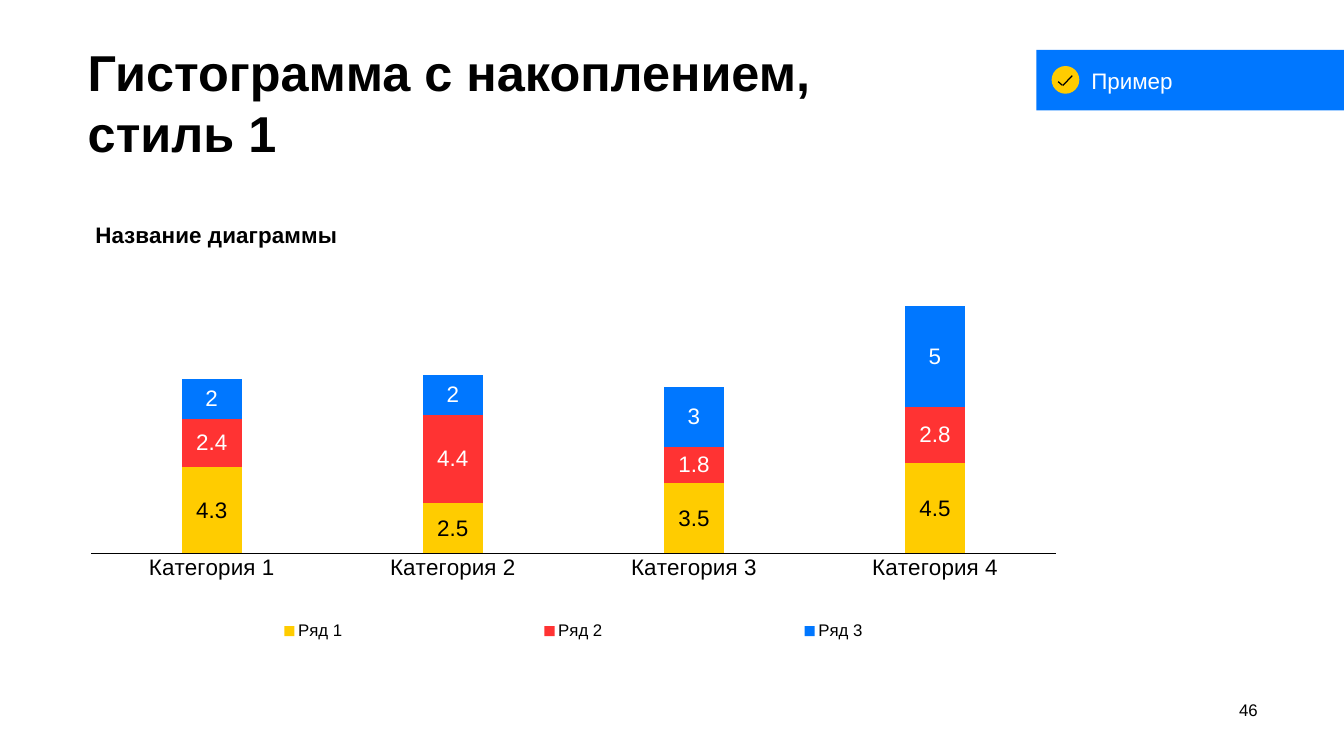
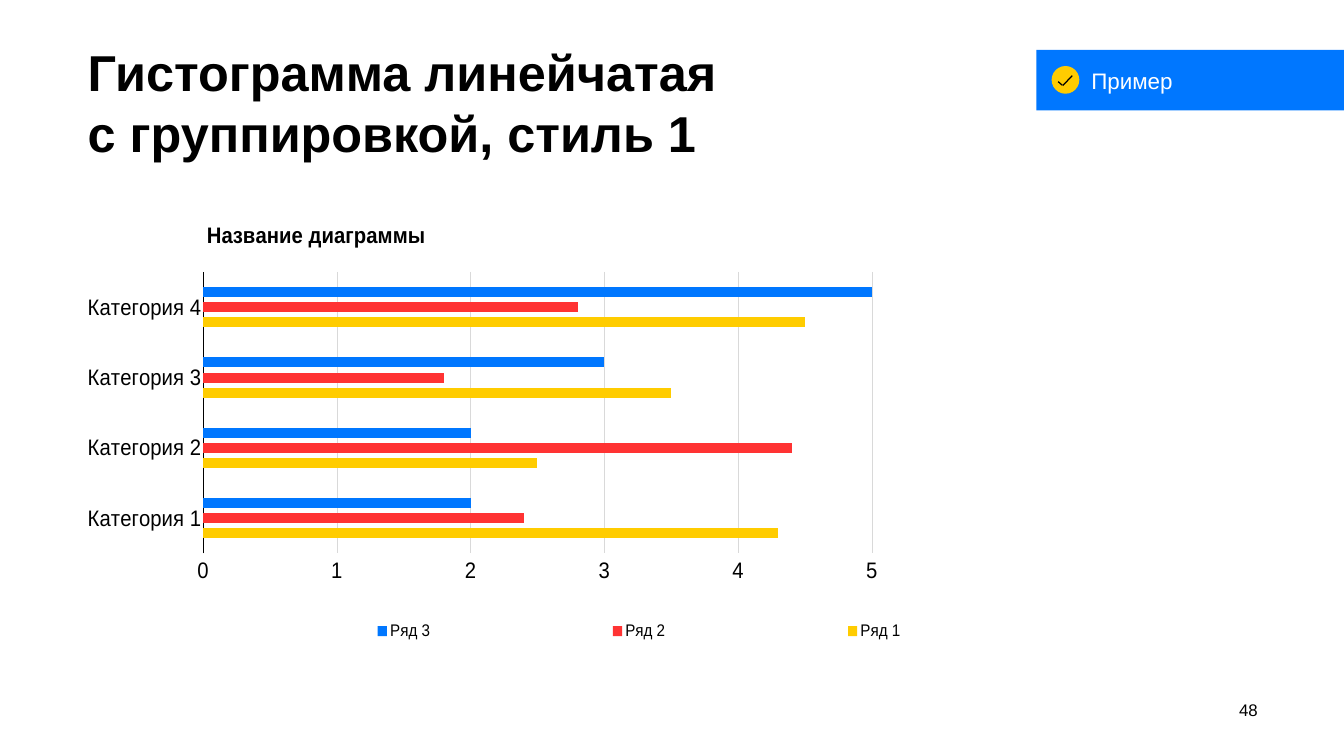
from dataclasses import dataclass

from lxml import etree
from pptx import Presentation
from pptx import util as u
from pptx.chart import data as chart_data
from pptx.dml import color
from pptx.enum import chart as ce
from pptx.enum import shapes, text
from pptx.oxml import parse_xml
from pptx.oxml import ns

Pt = u.Pt
FONT = "Arial"
COLORS = {
    "black": "000000",
    "white": "FFFFFF",
    "blue": "0077FF",
    "red": "FF3333",
    "yellow": "FFCC00",
    "grid": "D9D9D9",
}
SLIDE_W, SLIDE_H = 1919.52, 1080
MARGIN = 125.28
CONTENT_W = 1671.5
CATEGORIES = [f"Категория {number}" for number in range(1, 5)]
CHART_TITLE = "Название диаграммы"


@dataclass(frozen=True)
class Series:
    name: str
    values: tuple[float, ...]
    fill: str
    label: str


@dataclass(frozen=True)
class ChartSlide:
    heading: tuple[str, ...]
    number: int
    kind: ce.XL_CHART_TYPE
    overlap: int
    plot_width: float
    value_labels: bool


@dataclass(frozen=True)
class Stroke:
    start: tuple[float, float]
    end: tuple[float, float]


SERIES = (
    Series("Ряд 1", (4.3, 2.5, 3.5, 4.5), "yellow", "black"),
    Series("Ряд 2", (2.4, 4.4, 1.8, 2.8), "red", "white"),
    Series("Ряд 3", (2, 2, 3, 5), "blue", "white"),
)
SLIDES = (
    ChartSlide(("Гистограмма с накоплением,", "стиль 1"), 46,
               ce.XL_CHART_TYPE.COLUMN_STACKED, 100, 0.824, True),
    ChartSlide(("Гистограмма линейчатая", "с группировкой, стиль 1"), 48,
               ce.XL_CHART_TYPE.BAR_CLUSTERED, -50, 0.632, False),
)
CHECK_MARK = (
    Stroke((1511.28, 116.64), (1517.04, 121.68)),
    Stroke((1517.76, 122.4), (1531.44, 108)),
)


def rgb(name: str) -> color.RGBColor:
    return color.RGBColor.from_string(COLORS[name])


def style_font(font, size: float, ink: str = "black", bold: bool = False) -> None:
    font.name, font.size, font.bold = FONT, Pt(size), bold
    font.color.rgb = rgb(ink)


def add_run(paragraph, words: str, size: float, ink: str = "black",
            bold: bool = False) -> None:
    run = paragraph.add_run()
    run.text = words
    style_font(run.font, size, ink, bold)


def set_frame(frame, left: float = 0, top: float = 0, bottom: float = 0,
              anchor=text.MSO_ANCHOR.TOP) -> None:
    frame.word_wrap = True
    frame.margin_left, frame.margin_right = Pt(left), Pt(0)
    frame.margin_top, frame.margin_bottom = Pt(top), Pt(bottom)
    frame.vertical_anchor = anchor


# Heading and page number
def add_heading(slide, lines: tuple[str, ...]) -> None:
    box = slide.shapes.add_textbox(Pt(MARGIN), Pt(43.2), Pt(CONTENT_W), Pt(114.5))
    set_frame(box.text_frame, top=15.84)
    paragraph = box.text_frame.paragraphs[0]
    for index, line in enumerate(lines):
        if index:
            paragraph.add_line_break()
        add_run(paragraph, line, 72, bold=True)


def add_page_number(slide, number: int) -> None:
    box = slide.shapes.add_textbox(Pt(1710), Pt(993.6), Pt(86.4), Pt(34.56))
    set_frame(box.text_frame, top=5.76, anchor=text.MSO_ANCHOR.MIDDLE)
    paragraph = box.text_frame.paragraphs[0]
    paragraph.alignment = text.PP_ALIGN.RIGHT
    add_run(paragraph, str(number), 24)


# Badge in the top right corner
def add_filled(group, kind, box: tuple[float, ...], fill: str):
    shape = group.shapes.add_shape(kind, *map(Pt, box))
    shape.shadow.inherit = False
    shape.fill.solid()
    shape.fill.fore_color.rgb = rgb(fill)
    shape.line.fill.background()
    return shape


def add_badge(slide) -> None:
    group = slide.shapes.add_group_shape()
    left = 1480.32
    band = add_filled(group, shapes.MSO_SHAPE.RECTANGLE,
                      (left, 71.28, SLIDE_W - left, 86.4), "blue")
    set_frame(band.text_frame, 78.3, 17.28, 17.28, text.MSO_ANCHOR.MIDDLE)
    paragraph = band.text_frame.paragraphs[0]
    paragraph.alignment = text.PP_ALIGN.LEFT
    add_run(paragraph, "Пример", 32, "white")
    add_filled(group, shapes.MSO_SHAPE.OVAL, (1501.92, 94.32, 39.6, 39.6), "yellow")
    for stroke in CHECK_MARK:
        line = group.shapes.add_connector(
            shapes.MSO_CONNECTOR.STRAIGHT, *map(Pt, stroke.start + stroke.end))
        line.line.color.rgb = rgb("black")
        line.line.width = Pt(1.75)
        etree.SubElement(line._element.spPr, ns.qn("a:effectLst"))


# Chart
def place(element, after: str, x: float, y: float,
          size: tuple[float, float] | None = None, inner: bool = False) -> None:
    """Give a chart part a manual layout, right after the named child."""
    for old in element.findall(ns.qn("c:layout")):
        element.remove(old)
    parts = [("layoutTarget", "inner")] if inner else []
    parts += [("xMode", "edge"), ("yMode", "edge"), ("x", x), ("y", y)]
    if size:
        parts += [("w", size[0]), ("h", size[1])]
    body = "".join(f'<c:{tag} val="{value}"/>' for tag, value in parts)
    layout = parse_xml(f'<c:layout {ns.nsdecls("c")}><c:manualLayout>{body}'
                       '</c:manualLayout></c:layout>')
    previous = element.find(ns.qn(after)) if after else None
    if previous is None:
        element.insert(0, layout)
    else:
        previous.addnext(layout)


def style_axes(chart, show_values: bool) -> None:
    category, value = chart.category_axis, chart.value_axis
    category.major_tick_mark = ce.XL_TICK_MARK.NONE
    category.format.line.color.rgb = rgb("black")
    category.format.line.width = Pt(1)
    style_font(category.tick_labels.font, 32)
    value.has_major_gridlines = show_values
    value.visible = show_values
    if show_values:
        value.minimum_scale, value.maximum_scale, value.major_unit = 0, 5, 1
        value.format.line.fill.background()
        style_font(value.tick_labels.font, 32)
        grid = value.major_gridlines.format.line
        grid.color.rgb = rgb("grid")
        grid.width = Pt(1)


def add_bar_chart(slide, page: ChartSlide) -> None:
    figures = chart_data.CategoryChartData()
    figures.categories = CATEGORIES
    for series in SERIES:
        figures.add_series(series.name, series.values)
    chart = slide.shapes.add_chart(page.kind, Pt(MARGIN), Pt(270.72), Pt(CONTENT_W),
                                   Pt(693.4), figures).chart
    style_font(chart.font, 10)

    chart.has_title = True
    add_run(chart.chart_title.text_frame.paragraphs[0], CHART_TITLE, 32, bold=True)
    chart.chart_title.include_in_layout = False
    place(chart.chart_title._element, "c:tx", 0.003, 0.055)

    chart.has_legend = True
    chart.legend.position = ce.XL_LEGEND_POSITION.BOTTOM
    chart.legend.include_in_layout = False
    style_font(chart.legend.font, 24)
    place(chart.legend._element, "c:legendPos", 0, 0.86, (0.83, 0.1))

    plot = chart.plots[0]
    plot.gap_width, plot.overlap = 300, page.overlap
    plot.vary_by_categories = False
    place(plot._element.getparent(), "", 0.003, 0.17, (page.plot_width, 0.58), True)
    style_axes(chart, not page.value_labels)

    for bars, series in zip(plot.series, SERIES):
        bars.format.fill.solid()
        bars.format.fill.fore_color.rgb = rgb(series.fill)
        bars.invert_if_negative = False
        if page.value_labels:
            bars.data_labels.show_value = True
            style_font(bars.data_labels.font, 32, series.label)


def main() -> None:
    deck = Presentation()
    deck.slide_width, deck.slide_height = Pt(SLIDE_W), Pt(SLIDE_H)
    for page in SLIDES:
        slide = deck.slides.add_slide(deck.slide_layouts[6])
        add_heading(slide, page.heading)
        add_page_number(slide, page.number)
        add_bar_chart(slide, page)
        add_badge(slide)
    deck.save("out.pptx")


if __name__ == "__main__":
    main()
